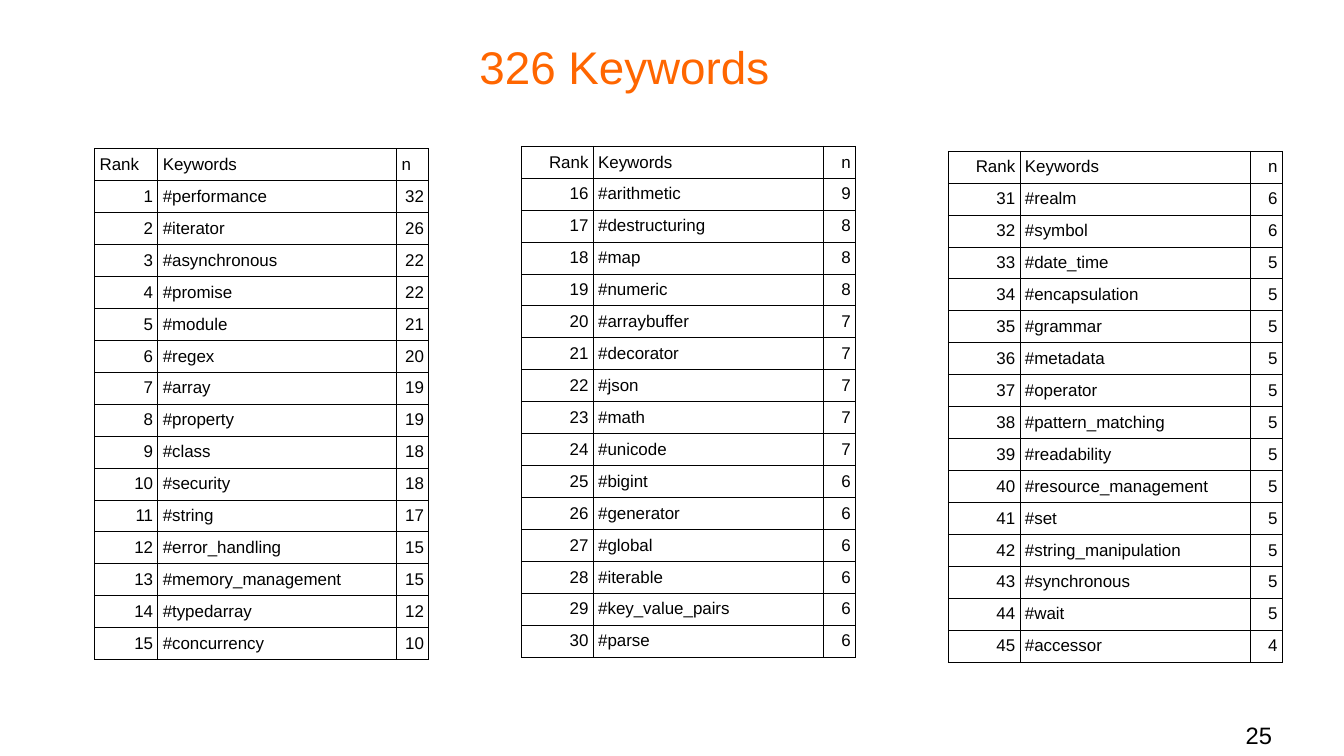
from dataclasses import dataclass

from lxml import etree
from pptx import Presentation
from pptx.dml.color import RGBColor
from pptx.enum.text import MSO_ANCHOR, PP_ALIGN
from pptx.oxml.ns import qn
from pptx.util import Inches, Pt

LEFT, CENTER, RIGHT = PP_ALIGN.LEFT, PP_ALIGN.CENTER, PP_ALIGN.RIGHT
TOP, MIDDLE = MSO_ANCHOR.TOP, MSO_ANCHOR.MIDDLE
TITLE_ONLY = 5


@dataclass(frozen=True)
class Theme:
    font: str = "Arial"
    accent: str = "FF6600"
    ink: str = "000000"
    title_size: float = 27
    cell_size: float = 10
    page_size: float = 14
    border: float = 0.57
    cell_side: float = 2.9
    cell_end: float = 3.85


THEME = Theme()
WIDTH, HEIGHT = Inches(11.02), Inches(6.2)
GRID = 100
TITLE_BOX = (5.35, 3.23, 82.21, 11.13)
PAGE_BOX = (71.42, 95.32, 23.23, 4.84)
TABLE_LEFT, TABLE_STEP = 7.05, 31.75
TABLE_SIZE = (24.86, 60.48)
TABLE_TOPS = (19.68, 19.35, 20)
FIRST_COLUMNS = (18.9, 71.5, 9.6)
LATER_COLUMNS = (21.5, 68.9, 9.6)
RANKS_PER_TABLE = 15
HEADER = ("Rank", "Keywords", "n")

KEYWORDS = [
    ("performance", 32), ("iterator", 26), ("asynchronous", 22),
    ("promise", 22), ("module", 21), ("regex", 20), ("array", 19),
    ("property", 19), ("class", 18), ("security", 18), ("string", 17),
    ("error_handling", 15), ("memory_management", 15), ("typedarray", 12),
    ("concurrency", 10),
    ("arithmetic", 9), ("destructuring", 8), ("map", 8), ("numeric", 8),
    ("arraybuffer", 7), ("decorator", 7), ("json", 7), ("math", 7),
    ("unicode", 7), ("bigint", 6), ("generator", 6), ("global", 6),
    ("iterable", 6), ("key_value_pairs", 6), ("parse", 6),
    ("realm", 6), ("symbol", 6), ("date_time", 5), ("encapsulation", 5),
    ("grammar", 5), ("metadata", 5), ("operator", 5),
    ("pattern_matching", 5), ("readability", 5), ("resource_management", 5),
    ("set", 5), ("string_manipulation", 5), ("synchronous", 5), ("wait", 5),
    ("accessor", 4),
]


def place(box):
    left, top, width, height = box
    return (int(WIDTH * left / GRID), int(HEIGHT * top / GRID),
            int(WIDTH * width / GRID), int(HEIGHT * height / GRID))


def write(frame, text, *, size, color=THEME.ink, align=LEFT):
    frame.word_wrap = True
    paragraph = frame.paragraphs[0]
    paragraph.alignment = align
    run = paragraph.add_run()
    run.text = text
    run.font.name = THEME.font
    run.font.size = Pt(size)
    run.font.color.rgb = RGBColor.from_string(color)


def clear_insets(frame, anchor):
    frame.margin_left = frame.margin_right = 0
    frame.margin_top = frame.margin_bottom = 0
    frame.vertical_anchor = anchor


def add_title(slide, box, text):
    title = slide.shapes.title
    title.left, title.top, title.width, title.height = place(box)
    clear_insets(title.text_frame, MIDDLE)
    write(title.text_frame, text, size=THEME.title_size,
          color=THEME.accent, align=CENTER)


def add_page_number(slide, box, number):
    frame = slide.shapes.add_textbox(*place(box)).text_frame
    clear_insets(frame, TOP)
    write(frame, number, size=THEME.page_size, align=RIGHT)


def outline_cell(cell):
    properties = cell._tc.get_or_add_tcPr()
    for side in ("a:lnL", "a:lnR", "a:lnT", "a:lnB"):
        line = etree.SubElement(properties, qn(side), w=str(Pt(THEME.border)))
        fill = etree.SubElement(line, qn("a:solidFill"))
        etree.SubElement(fill, qn("a:srgbClr"), val=THEME.ink)
    cell.fill.background()


def fill_cell(cell, text, align):
    cell.margin_left = cell.margin_right = Pt(THEME.cell_side)
    cell.margin_top = cell.margin_bottom = Pt(THEME.cell_end)
    outline_cell(cell)
    write(cell.text_frame, text, size=THEME.cell_size, align=align)


def add_keyword_table(slide, box, rows, column_shares, header_aligns):
    left, top, width, height = place(box)
    table = slide.shapes.add_table(
        len(rows), len(HEADER), left, top, width, height).table
    table.first_row = table.horz_banding = False
    for column, share in zip(table.columns, column_shares):
        column.width = int(width * share / GRID)
    for index, row in enumerate(rows):
        aligns = (RIGHT, LEFT, RIGHT) if index else header_aligns
        for column, (text, align) in enumerate(zip(row, aligns)):
            fill_cell(table.cell(index, column), text, align)


def add_keyword_slide(deck):
    slide = deck.slides.add_slide(deck.slide_layouts[TITLE_ONLY])
    add_title(slide, TITLE_BOX, "326 Keywords")
    ranking = [(str(rank), f"#{keyword}", str(count))
               for rank, (keyword, count) in enumerate(KEYWORDS, 1)]
    for index, top in enumerate(TABLE_TOPS):
        start = index * RANKS_PER_TABLE
        rows = [HEADER, *ranking[start:start + RANKS_PER_TABLE]]
        box = (TABLE_LEFT + index * TABLE_STEP, top, *TABLE_SIZE)
        shares = LATER_COLUMNS if index else FIRST_COLUMNS
        aligns = (RIGHT, LEFT, RIGHT) if index else (LEFT, LEFT, LEFT)
        add_keyword_table(slide, box, rows, shares, aligns)
    add_page_number(slide, PAGE_BOX, "25")


def main():
    deck = Presentation()
    deck.slide_width, deck.slide_height = WIDTH, HEIGHT
    add_keyword_slide(deck)
    deck.save("out.pptx")


if __name__ == "__main__":
    main()
